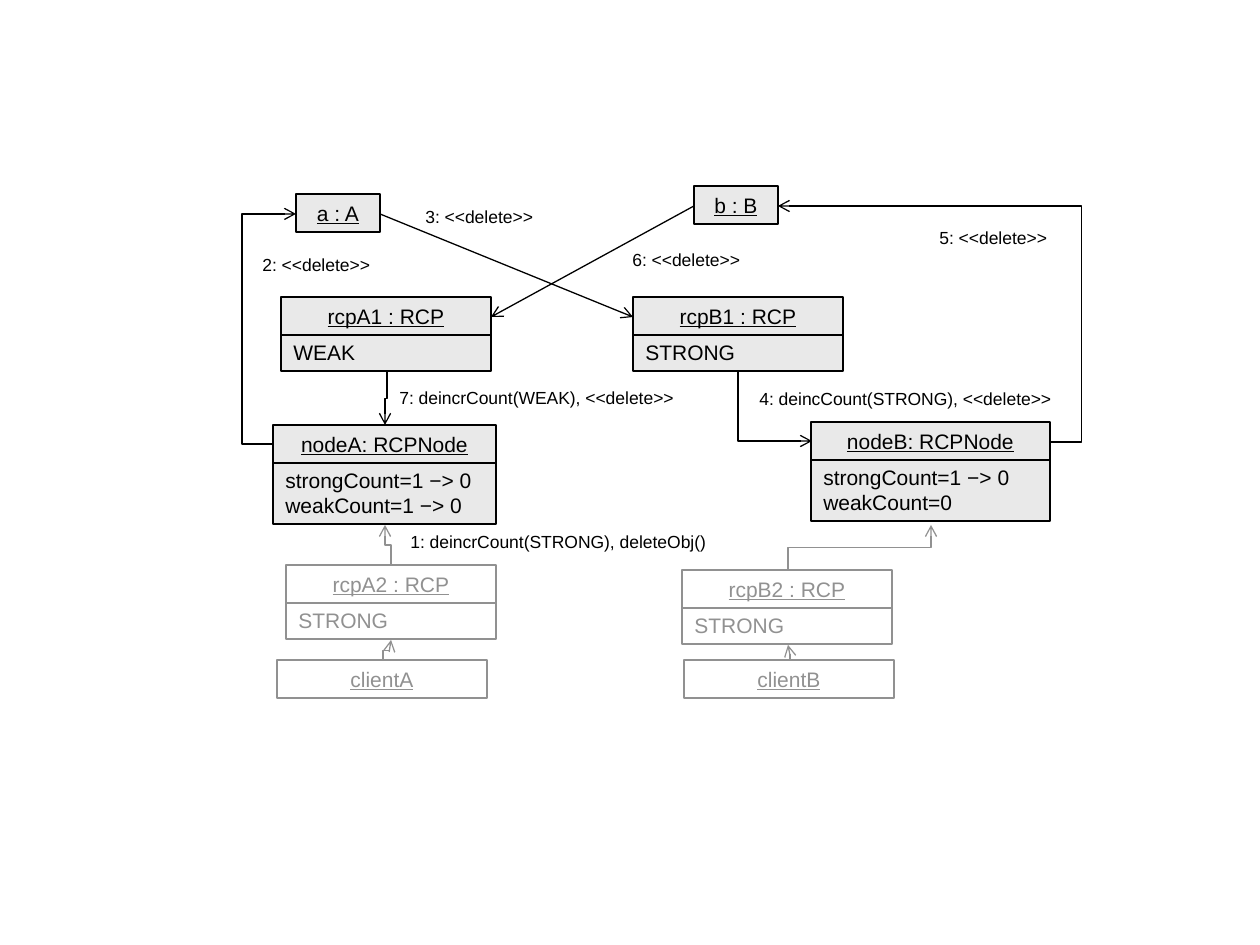
"""Build the object collaboration diagram that shows how node and pointer deletions cascade."""
import dataclasses

import pptx
import pptx.dml.color
import pptx.enum.shapes
import pptx.enum.text
import pptx.oxml
import pptx.oxml.ns
import pptx.util

PX = 914400 // 126


@dataclasses.dataclass(frozen=True)
class Theme:
    font: str = "Arial"
    box_size: int = 12
    label_size: int = 10
    line_width: float = 0.75
    active: str = "000000"
    active_fill: str = "E9E9E9"
    released: str = "919191"
    released_fill: str = "FFFFFF"


THEME = Theme()
TITLE_HEIGHT = 38
BODY_OFFSET = 36
LINE_HEIGHT = 25

ACTIVE_CARDS = [
    ("a : A", [], 296, 194, 84),
    ("b : B", [], 694, 186, 84),
    ("rcpA1 : RCP", ["WEAK"], 281, 297, 210),
    ("rcpB1 : RCP", ["STRONG"], 633, 297, 210),
    ("nodeA: RCPNode", ["strongCount=1 −> 0", "weakCount=1 −> 0"], 273, 425, 223),
    ("nodeB: RCPNode", ["strongCount=1 −> 0", "weakCount=0"], 811, 422, 239),
]
RELEASED_CARDS = [
    ("rcpA2 : RCP", ["STRONG"], 286, 565, 210),
    ("clientA", [], 277, 660, 210),
    ("rcpB2 : RCP", ["STRONG"], 682, 570, 210),
    ("clientB", [], 684, 660, 210),
]
LABELS = [
    ("1: deincrCount(STRONG), deleteObj()", 398, 525, 326),
    ("2: <<delete>>", 250, 248, 138),
    ("3: <<delete>>", 413, 200, 138),
    ("4: deincCount(STRONG), <<delete>>", 747, 382, 324),
    ("5: <<delete>>", 927, 221, 138),
    ("6: <<delete>>", 620, 243, 138),
    ("7: deincrCount(WEAK), <<delete>>", 387, 381, 305),
]
ACTIVE_LINKS = [
    ("straight", (694, 206), (491, 317), None),
    ("straight", (380, 214), (633, 317), None),
    ("across", (273, 444), (296, 214), -1.35),
    ("across", (1050, 442), (778, 206), -0.116),
    ("upright", (387, 372), (385, 425), 0.5),
    ("corner", (738, 372), (812, 441), None),
]
RELEASED_LINKS = [
    ("upright", (391, 565), (385, 525), 0.5),
    ("upright", (383, 661), (391, 640), 0.5),
    ("upright", (788, 570), (931, 525), 0.5),
    ("upright", (790, 660), (788, 645), 0.5),
]


def rgb(color):
    return pptx.dml.color.RGBColor.from_string(color)


def emu(*lengths):
    return [round(length * PX) for length in lengths]


def write(shape, text, size, color, underline=False, centered=False, fit=True):
    sizing = pptx.enum.text.MSO_AUTO_SIZE
    frame = shape.text_frame
    frame.word_wrap = True
    frame.auto_size = sizing.SHAPE_TO_FIT_TEXT if fit else sizing.NONE
    frame.vertical_anchor = pptx.enum.text.MSO_ANCHOR.TOP
    frame.text = text
    align = pptx.enum.text.PP_ALIGN
    for paragraph in frame.paragraphs:
        paragraph.alignment = align.CENTER if centered else align.LEFT
        for run in paragraph.runs:
            run.font.name = THEME.font
            run.font.size = pptx.util.Pt(size)
            run.font.color.rgb = rgb(color)
            run.font.underline = underline


def add_box(slide, bounds, text, color, fill, **text_format):
    shape = slide.shapes.add_shape(pptx.enum.shapes.MSO_SHAPE.RECTANGLE, *emu(*bounds))
    shape.shadow.inherit = False
    shape.fill.solid()
    shape.fill.fore_color.rgb = rgb(fill)
    shape.line.color.rgb = rgb(color)
    shape.line.width = pptx.util.Pt(THEME.line_width)
    write(shape, text, THEME.box_size, color, **text_format)


def add_card(slide, title, body, left, top, width, color, fill):
    if body:
        height = TITLE_HEIGHT + LINE_HEIGHT * (len(body) - 1)
        bounds = (left, top + BODY_OFFSET, width, height)
        add_box(slide, bounds, "\n".join(body), color, fill)
    bounds = (left, top, width, TITLE_HEIGHT)
    add_box(slide, bounds, title, color, fill, underline=True, centered=True)


def add_link(slide, route, start, end, bend, color):
    kinds = pptx.enum.shapes.MSO_CONNECTOR
    kind = kinds.STRAIGHT if route == "straight" else kinds.ELBOW
    turn = 0
    if route in ("upright", "corner"):
        dx, dy = end[0] - start[0], end[1] - start[1]
        middle_x, middle_y = (start[0] + end[0]) / 2, (start[1] + end[1]) / 2
        turn, along, aside = (270, -dy, dx) if dx * dy > 0 else (90, dy, -dx)
        start = (middle_x - along / 2, middle_y - aside / 2)
        end = (middle_x + along / 2, middle_y + aside / 2)
    connector = slide.shapes.add_connector(kind, *emu(*start, *end))
    connector.line.color.rgb = rgb(color)
    connector.line.width = pptx.util.Pt(THEME.line_width)
    qn = pptx.oxml.ns.qn
    namespace = pptx.oxml.ns.nsdecls("a")
    properties = connector._element.spPr
    if turn:
        properties.find(qn("a:xfrm")).set("rot", str(turn * 60000))
    geometry = properties.find(qn("a:prstGeom"))
    if route == "corner":
        geometry.set("prst", "bentConnector2")
    if bend is not None:
        guide = f'<a:gd {namespace} name="adj1" fmla="val {round(bend * 100000)}"/>'
        geometry.find(qn("a:avLst")).append(pptx.oxml.parse_xml(guide))
    arrow = pptx.oxml.parse_xml(f'<a:tailEnd {namespace} type="arrow"/>')
    properties.find(qn("a:ln")).append(arrow)
    properties.append(pptx.oxml.parse_xml(f"<a:effectLst {namespace}/>"))


def main():
    presentation = pptx.Presentation()
    presentation.slide_width = pptx.util.Inches(10)
    presentation.slide_height = pptx.util.Inches(7.5)
    slide = presentation.slides.add_slide(presentation.slide_layouts[6])
    groups = [
        (ACTIVE_CARDS, ACTIVE_LINKS, THEME.active, THEME.active_fill),
        (RELEASED_CARDS, RELEASED_LINKS, THEME.released, THEME.released_fill),
    ]
    for cards, links, color, fill in groups:
        for card in cards:
            add_card(slide, *card, color, fill)
        for link in links:
            add_link(slide, *link, color)
    for text, left, top, width in LABELS:
        label = slide.shapes.add_textbox(*emu(left, top, width, 34))
        write(label, text, THEME.label_size, THEME.active, fit=False)
    presentation.save("out.pptx")


if __name__ == "__main__":
    main()
